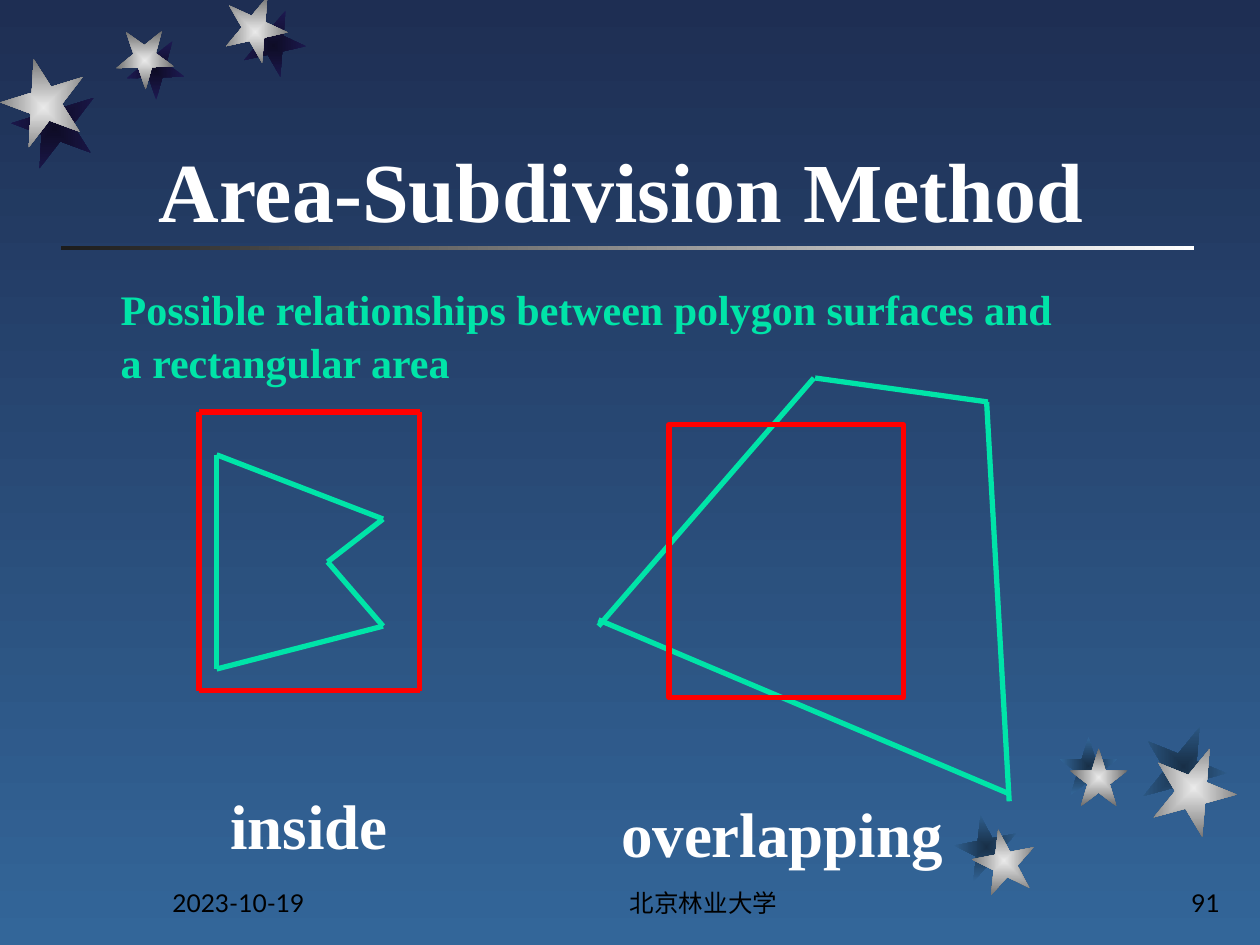
import pptx
import pptx.dml.color
import pptx.enum.shapes
import pptx.enum.text
import pptx.util
from lxml import etree
from pptx.oxml.ns import qn

Pt = pptx.util.Pt
RGBColor = pptx.dml.color.RGBColor
SHAPE = pptx.enum.shapes.MSO_SHAPE
ALIGN = pptx.enum.text.PP_ALIGN
ANCHOR = pptx.enum.text.MSO_ANCHOR

NIGHT = RGBColor(0x1E, 0x2E, 0x53)
SEA = RGBColor(0x33, 0x66, 0x99)
WHITE = RGBColor(0xFF, 0xFF, 0xFF)
BLACK = RGBColor(0, 0, 0)
CHARCOAL = RGBColor(0x1C, 0x1C, 0x1C)
RED = RGBColor(0xFF, 0, 0)
GREEN = RGBColor(0, 0xE4, 0xA8)
# Gradients of the stars, from centre to edge
SILVER = (RGBColor(0xEA, 0xEA, 0xEA), RGBColor(0x6C, 0x6C, 0x6C))
VIOLET_SHADE = (RGBColor(0x0E, 0x0C, 0x26), RGBColor(0x1E, 0x1A, 0x53))
BLUE_SHADE = (RGBColor(0x18, 0x2F, 0x47), SEA)

SERIF, SANS = "Times New Roman", "Lato"
STROKE = Pt(3)

# Stars: left, top, size, rotation, shadow offset (x, y)
TOP_STARS = [
    (127.8, 0.3, 36, 167.3, 10.4, 7.9),
    (66.2, 18, 33.1, 178.3, 6, 5.8),
    (0.7, 37.4, 48.2, 200.3, 6.2, 11.9),
]
BOTTOM_STARS = [
    (555.8, 473.8, 36, 349, -10.1, -7.9),
    (611.3, 427.7, 33.1, 0, -5.8, -6.5),
    (658.1, 426.2, 48.2, 22, -5.8, -12.2),
]

# Texts: wording, (left, top, width, height), font, size, bold, colour,
# alignment, anchor, line spacing
TEXTS = [
    ("2023-10-19", (91.4, 491.8, 149.8, 36), SANS, 14, False, BLACK,
     ALIGN.LEFT, ANCHOR.BOTTOM, 1),
    ("北京林业大学", (288, 491.8, 228.2, 36), SANS, 14, False, BLACK,
     ALIGN.CENTER, ANCHOR.BOTTOM, 1),
    ("91", (554.4, 491.8, 149.8, 36), SANS, 14, False, BLACK,
     ALIGN.RIGHT, ANCHOR.BOTTOM, 1),
    ("Area-Subdivision Method", (83.5, 25.2, 613.4, 115.2), SERIF, 48, True,
     WHITE, ALIGN.LEFT, ANCHOR.BOTTOM, 1),
    ("inside", (124.6, 443.5, 124.6, 50.4), SERIF, 36, True, WHITE,
     ALIGN.LEFT, ANCHOR.TOP, 1.05),
    ("overlapping", (347.8, 448.6, 201.6, 50.4), SERIF, 36, True, WHITE,
     ALIGN.LEFT, ANCHOR.TOP, 1.05),
    ("Possible relationships between polygon surfaces and a rectangular area",
     (61.9, 157, 553, 64.8), SERIF, 24, True, GREEN,
     ALIGN.LEFT, ANCHOR.TOP, 1.05),
]

# Line drawings: each line is (x1, y1, x2, y2)
AREA_LEFT, AREA_TOP, AREA_RIGHT, AREA_BOTTOM = 113.8, 235.4, 239.8, 394.6
AREA_LINES = [
    (AREA_LEFT, AREA_TOP, AREA_LEFT, AREA_BOTTOM),
    (AREA_LEFT, AREA_TOP, AREA_RIGHT, AREA_TOP),
    (AREA_RIGHT, AREA_TOP, AREA_RIGHT, AREA_BOTTOM),
    (AREA_RIGHT, AREA_BOTTOM, AREA_LEFT, AREA_BOTTOM),
]
INSIDE_CORNERS = [(123.8, 259.9), (123.8, 382.3), (218.9, 357.8),
                  (187.2, 321.1), (218.9, 296.6)]
INSIDE_LINES = [start + end for start, end in
                zip(INSIDE_CORNERS, INSIDE_CORNERS[1:] + INSIDE_CORNERS[:1])]
OVERLAPPING_LINES = [
    (465.1, 216, 342, 357.8),
    (342, 354.2, 576.7, 453.6),
    (576.7, 457.9, 563.8, 229.7),
    (465.8, 216, 564.5, 229.7),
]
OVERLAPPED_AREA = (382.3, 242.6, 133.9, 156.2)


def set_gradient(fill, colours, angle=0):
    fill.gradient()
    fill.gradient_angle = angle
    for stop, colour in zip(fill.gradient_stops, colours):
        stop.color.rgb = colour


def add_plain_shape(page, kind, frame):
    shape = page.shapes.add_shape(kind, *map(Pt, frame))
    shape.shadow.inherit = False
    return shape


def add_star(page, left, top, size, rotation, colours):
    star = add_plain_shape(page, SHAPE.STAR_5_POINT, (left, top, size, size))
    star.rotation = rotation
    star.line.fill.background()
    set_gradient(star.fill, colours)
    # Let the gradient run outwards from the centre
    gradient = star.element.spPr.find(qn("a:gradFill"))
    linear = gradient.find(qn("a:lin"))
    radial = etree.Element(qn("a:path"), path="rect")
    etree.SubElement(radial, qn("a:fillToRect"),
                     dict.fromkeys("ltrb", "50000"))
    gradient.replace(linear, radial)


def add_stars(page, stars, shade):
    for left, top, size, rotation, shift_x, shift_y in stars:
        add_star(page, left + shift_x, top + shift_y, size, rotation, shade)
    for left, top, size, rotation, *_ in stars:
        add_star(page, left, top, size, rotation, SILVER)


def add_lines(shapes, lines, colour):
    for ends in lines:
        line = shapes.add_connector(
            pptx.enum.shapes.MSO_CONNECTOR.STRAIGHT, *map(Pt, ends))
        line.line.color.rgb = colour
        line.line.width = STROKE
        etree.SubElement(line.element.spPr, qn("a:effectLst"))


def add_text(page, wording, frame, font, size, bold, colour,
             alignment, anchor, spacing):
    box = page.shapes.add_textbox(*map(Pt, frame))
    box.text_frame.word_wrap = True
    box.text_frame.vertical_anchor = anchor
    para = box.text_frame.paragraphs[0]
    para.text = wording
    para.alignment = alignment
    para.line_spacing = spacing
    para.font.name = font
    para.font.size = Pt(size)
    para.font.bold = bold
    para.font.color.rgb = colour


def main():
    deck = pptx.Presentation()
    deck.slide_width, deck.slide_height = Pt(720), Pt(540)
    page = deck.slides.add_slide(deck.slide_layouts[6])

    # Background, title rule and stars
    set_gradient(page.background.fill, (NIGHT, SEA), 270)
    rule = add_plain_shape(page, SHAPE.RECTANGLE, (34.6, 140.4, 648, 2.4))
    rule.line.fill.background()
    set_gradient(rule.fill, (CHARCOAL, WHITE))
    add_stars(page, TOP_STARS, VIOLET_SHADE)
    add_stars(page, BOTTOM_STARS, BLUE_SHADE)

    # Polygons and rectangular areas
    add_lines(page.shapes, AREA_LINES, RED)
    for lines in (INSIDE_LINES, OVERLAPPING_LINES):
        add_lines(page.shapes.add_group_shape().shapes, lines, GREEN)
    area = add_plain_shape(page, SHAPE.RECTANGLE, OVERLAPPED_AREA)
    area.fill.background()
    area.line.color.rgb = RED
    area.line.width = STROKE

    # Texts
    for text in TEXTS:
        add_text(page, *text)

    deck.save("out.pptx")


if __name__ == "__main__":
    main()
